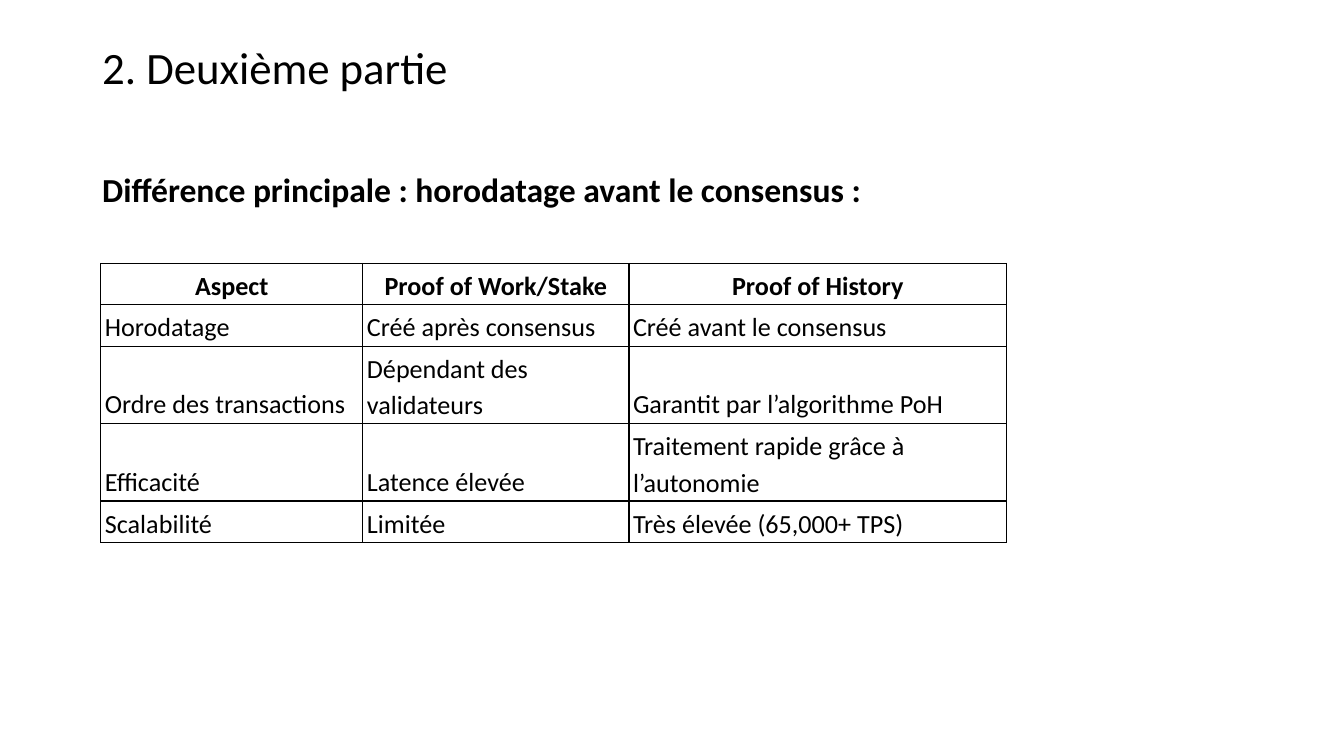
from lxml.etree import SubElement
from pptx import Presentation
from pptx.dml.color import RGBColor
from pptx.enum.text import MSO_ANCHOR as Anchor, MSO_AUTO_SIZE as AutoSize, PP_ALIGN as Align
from pptx.oxml.ns import qn
from pptx.util import Inches, Pt

WIDTH = 10
HEIGHT = WIDTH * 9 / 16
BLACK = "000000"
COLUMN_WIDTHS = (1.95, 1.98, 2.81)
ROW_HEIGHTS = (0.26, 0.26, 0.48, 0.45, 0.26)
COMPARISON = (
    ("Aspect", "Proof of Work/Stake", "Proof of History"),
    ("Horodatage", "Créé après consensus", "Créé avant le consensus"),
    ("Ordre des transactions", "Dépendant des validateurs", "Garantit par l’algorithme PoH"),
    ("Efficacité", "Latence élevée", "Traitement rapide grâce à l’autonomie"),
    ("Scalabilité", "Limitée", "Très élevée (65,000+ TPS)"),
)


def color(value):
    return RGBColor.from_string(value)


def write(frame, text, size=14, bold=False, align=Align.LEFT, spacing=1.15, before=0):
    paragraph = frame.paragraphs[0]
    paragraph.alignment = align
    paragraph.line_spacing = spacing
    paragraph.space_before = Pt(before)
    run = paragraph.add_run()
    run.text = text
    run.font.name = "Calibri"
    run.font.size = Pt(size)
    run.font.bold = bold
    run.font.color.rgb = color(BLACK)


def set_margins(target, horizontal, vertical):
    target.margin_left = target.margin_right = Inches(horizontal)
    target.margin_top = target.margin_bottom = Inches(vertical)


def add_text(slide, box, text, auto_size=AutoSize.NONE, **text_format):
    frame = slide.shapes.add_textbox(*map(Inches, box)).text_frame
    frame.word_wrap = True
    frame.auto_size = auto_size
    frame.vertical_anchor = Anchor.TOP
    set_margins(frame, 0.07, 0.04)
    write(frame, text, **text_format)


def add_borders(cell, value=BLACK, width=0.75):
    properties = cell._tc.get_or_add_tcPr()
    for side in ("a:lnL", "a:lnR", "a:lnT", "a:lnB"):
        line = SubElement(properties, qn(side), w=str(Pt(width)))
        fill = SubElement(line, qn("a:solidFill"))
        SubElement(fill, qn("a:srgbClr"), val=value)


def add_comparison(slide, box):
    left, top, width, height = box
    shape = slide.shapes.add_table(len(COMPARISON), len(COLUMN_WIDTHS), *map(Inches, box))
    table = shape.table
    table.first_row = table.horz_banding = False
    for column, share in zip(table.columns, COLUMN_WIDTHS):
        column.width = Inches(width * share / sum(COLUMN_WIDTHS))
    for row, share in zip(table.rows, ROW_HEIGHTS):
        row.height = Inches(height * share / sum(ROW_HEIGHTS))
    for row_index, texts in enumerate(COMPARISON):
        is_header = row_index == 0
        for column_index, text in enumerate(texts):
            cell = table.cell(row_index, column_index)
            cell.vertical_anchor = Anchor.BOTTOM
            set_margins(cell, 0.03, 0.02)
            add_borders(cell)
            cell.fill.background()
            write(cell.text_frame, text, bold=is_header,
                  align=Align.CENTER if is_header else Align.LEFT)


def build_slide(slide, box):
    left, top, width, height = box
    margin = left + 0.069 * width
    text_width = 0.862 * width
    add_text(slide, (margin, top + 0.3, text_width, 0.48), "2. Deuxième partie",
             size=24, spacing=0.9)
    add_text(slide, (margin, top + 1.17, text_width, 1.93),
             "Différence principale : horodatage avant le consensus :",
             auto_size=AutoSize.SHAPE_TO_FIT_TEXT, size=18, bold=True, before=12)
    add_comparison(slide, (left + 0.075 * width, top + 1.96,
                           sum(COLUMN_WIDTHS), sum(ROW_HEIGHTS)))


def main():
    presentation = Presentation()
    presentation.slide_width = Inches(WIDTH)
    presentation.slide_height = Inches(HEIGHT)
    slide = presentation.slides.add_slide(presentation.slide_layouts[6])
    build_slide(slide, (0, 0, WIDTH, HEIGHT))
    presentation.save("out.pptx")


if __name__ == "__main__":
    main()
